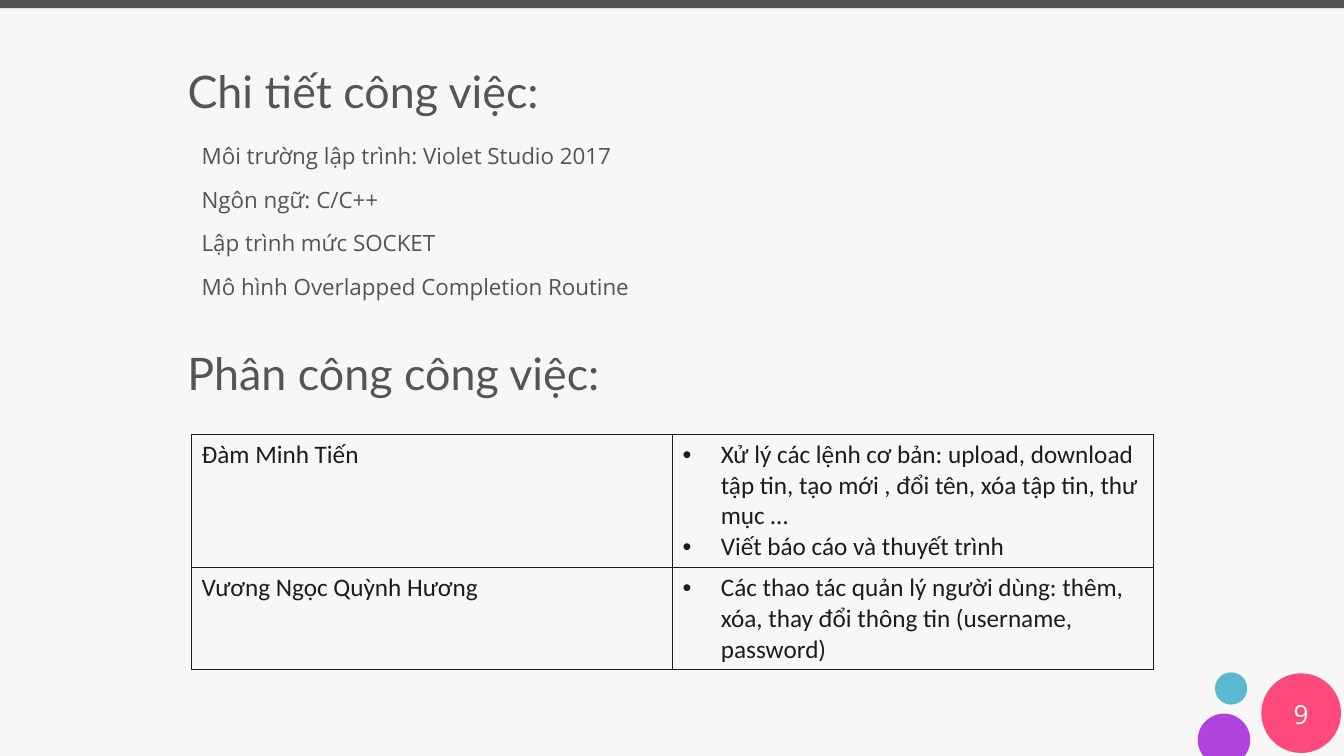
"""Build the slide on work details and task assignment."""
from math import cos, radians, sin

from lxml.etree import SubElement
from pptx import Presentation
from pptx.dml.color import RGBColor
from pptx.enum.shapes import MSO_SHAPE
from pptx.enum.text import MSO_ANCHOR, MSO_AUTO_SIZE, PP_ALIGN
from pptx.oxml import parse_xml
from pptx.oxml.ns import nsdecls, qn
from pptx.util import Inches, Pt

HUES = {
    "back": "F7F7F7", "bar": "545454", "head": "555555", "ink": "1C1C1C",
    "blue": "5BB8D1", "pink": "FD497C", "plum": "B143DD", "white": "FFFFFF",
}


def write(frame, lines, font="Open Sans", size=16, hue="bar", align=PP_ALIGN.LEFT,
          anchor=MSO_ANCHOR.TOP, space=None, before=0, bullet=None):
    frame.word_wrap = True
    frame.vertical_anchor = anchor
    for i, line in enumerate(lines):
        para = frame.paragraphs[0] if i == 0 else frame.add_paragraph()
        para.alignment = align
        para.line_spacing = space
        para.space_before = Pt(before)
        run = para.add_run()
        run.text = line
        run.font.name = font
        run.font.size = Pt(size)
        run.font.color.rgb = RGBColor.from_string(HUES[hue])
        props = para._p.get_or_add_pPr()
        dent = Inches(0.38) if bullet else 0
        props.set("marL", str(dent))
        props.set("indent", str(-dent))
        if bullet:
            SubElement(props, qn("a:buFont")).set("typeface", "Arial")
            SubElement(props, qn("a:buChar")).set("char", bullet)
        else:
            SubElement(props, qn("a:buNone"))


def paint(shape, hue):
    shape.shadow.inherit = False
    shape.fill.solid()
    shape.fill.fore_color.rgb = RGBColor.from_string(HUES[hue])
    shape.line.fill.background()


deck = Presentation()
deck.slide_width, deck.slide_height = Inches(13.33), Inches(7.5)
slide = deck.slides.add_slide(deck.slide_layouts[1])
slide.background.fill.solid()
slide.background.fill.fore_color.rgb = RGBColor.from_string(HUES["back"])
shapes = slide.shapes

for kind, box, hue in [
    (MSO_SHAPE.OVAL, (12.05, 6.67, 0.32, 0.32), "blue"),
    (MSO_SHAPE.OVAL, (12.51, 6.68, 0.79, 0.79), "pink"),
    (MSO_SHAPE.RECTANGLE, (0, 0, 13.33, 0.08), "bar"),
]:
    paint(shapes.add_shape(kind, *map(Inches, box)), hue)

arc = [(12.14 + 0.26 * cos(radians(a)), 7.34 + 0.26 * sin(radians(a)))
       for a in range(142, 399, 4)]
dots = [(Inches(x), Inches(y)) for x, y in arc]
path = shapes.build_freeform(*dots[0])
path.add_line_segments(dots[1:], close=True)
paint(path.convert_to_shape(), "plum")

page = shapes.add_textbox(Inches(12.51), Inches(6.88), Inches(0.79), Inches(0.4))
write(page.text_frame, ["9"], size=18.7, hue="white",
      align=PP_ALIGN.CENTER, anchor=MSO_ANCHOR.MIDDLE)

title, body = slide.placeholders
part = shapes.add_textbox(0, 0, 0, 0)
for shape, top, text in [
    (title, 0.58, "Chi tiết công việc:"),
    (part, 3.38, "Phân công công việc:"),
]:
    shape.left, shape.top = Inches(1.76), Inches(top)
    shape.width, shape.height = Inches(7.09), Inches(1.27)
    shape.text_frame.auto_size = MSO_AUTO_SIZE.NONE
    write(shape.text_frame, [text], font="Lato", size=32, hue="head")

body.left, body.top = Inches(1.9), Inches(1.31)
body.width, body.height = Inches(5.24), Inches(4.15)
body.text_frame.auto_size = MSO_AUTO_SIZE.NONE
write(body.text_frame, [
    "Môi trường lập trình: Violet Studio 2017",
    "Ngôn ngữ: C/C++",
    "Lập trình mức SOCKET",
    "Mô hình Overlapped Completion Routine",
], space=1.2, before=8)

tasks = [
    ("Đàm Minh Tiến", 1.32, [
        "Xử lý các lệnh cơ bản: upload, download tập tin, tạo mới , đổi tên, "
        "xóa tập tin, thư mục …",
        "Viết báo cáo và thuyết trình",
    ]),
    ("Vương Ngọc Quỳnh Hương", 1.01, [
        "Các thao tác quản lý người dùng: thêm, xóa, thay đổi thông tin "
        "(username, password)",
    ]),
]
table = shapes.add_table(len(tasks), 2, Inches(1.9), Inches(4.31),
                         Inches(9.54), Inches(2.33)).table
table.first_row = table.horz_banding = False
for row, (name, height, jobs) in enumerate(tasks):
    table.rows[row].height = Inches(height)
    for col, (lines, mark) in enumerate([([name], None), (jobs, "•")]):
        cell = table.cell(row, col)
        write(cell.text_frame, lines, font="Calibri", size=18, hue="ink", bullet=mark)
        props = cell._tc.get_or_add_tcPr()
        for side in "LRTB":
            props.append(parse_xml(
                f'<a:ln{side} {nsdecls("a")} w="{Pt(1)}"><a:solidFill>'
                f'<a:srgbClr val="{HUES["ink"]}"/></a:solidFill></a:ln{side}>'))
        cell.fill.background()

deck.save("out.pptx")
